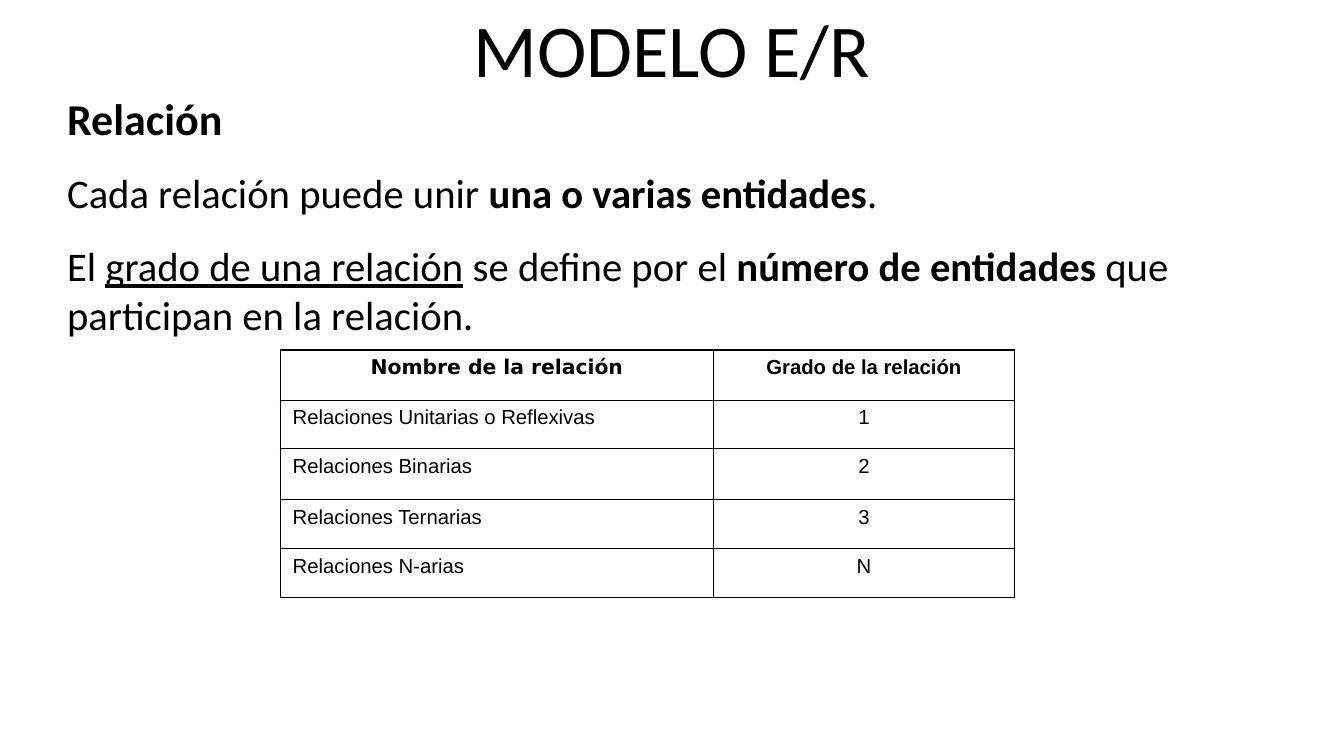
"""Build the slide on the degree of a relation in the E/R model."""
from dataclasses import dataclass

from lxml.etree import SubElement
from pptx import Presentation
from pptx.dml.color import RGBColor
from pptx.enum.text import MSO_ANCHOR as Anchor, MSO_AUTO_SIZE as AutoSize, PP_ALIGN as Align
from pptx.oxml import parse_xml
from pptx.oxml.ns import nsdecls, qn
from pptx.slide import Slide
from pptx.table import _Cell as Cell
from pptx.text.text import TextFrame, _Paragraph as Paragraph
from pptx.util import Pt


@dataclass(frozen=True)
class Theme:
    ink: str = "000000"
    text_font: str = "Calibri"
    table_font: str = "Arial"
    heading_font: str = "DejaVu Sans"
    title_size: float = 44
    lead_size: float = 26
    body_size: float = 24
    table_size: float = 12
    body_gap: float = 14.2
    cell_gap: float = 3
    outer_line: float = 1.08
    inner_line: float = 0.45


@dataclass(frozen=True)
class Span:
    text: str
    bold: bool = False
    underline: bool = False
    size: float = Theme.body_size


@dataclass(frozen=True)
class Row:
    height: float
    relation: str
    degree: str
    heading: bool = False


THEME = Theme()
TEXT_LEFT, TEXT_WIDTH = 39.6, 714.24
COLUMN_WIDTHS = (255.6, 177.84)

BODY = (
    (Span("Relación", bold=True, size=THEME.lead_size),),
    (Span("Cada relación puede unir "), Span("una o varias entidades", bold=True), Span(".")),
    (
        Span("El "),
        Span("grado de una relación", underline=True),
        Span(" se define por el "),
        Span("número de entidades", bold=True),
        Span(" que participan en la relación."),
    ),
)

ROWS = (
    Row(29.5, "Nombre de la relación", "Grado de la relación", heading=True),
    Row(28.8, "Relaciones Unitarias o Reflexivas", "1"),
    Row(30.2, "Relaciones Binarias", "2"),
    Row(28.8, "Relaciones Ternarias", "3"),
    Row(28.8, "Relaciones N-arias", "N"),
)


def add_text(para: Paragraph, text: str, *, size: float, font: str = THEME.text_font,
             bold: bool = False, underline: bool = False) -> None:
    """Append one formatted run to a paragraph."""
    run = para.add_run()
    run.text = text
    run.font.name = font
    run.font.size = Pt(size)
    run.font.bold = bold
    run.font.underline = underline
    run.font.color.rgb = RGBColor.from_string(THEME.ink)


def prepare_frame(frame: TextFrame, anchor: Anchor) -> None:
    """Make a text frame wrap without margins."""
    frame.word_wrap = True
    frame.auto_size = AutoSize.NONE
    frame.vertical_anchor = anchor
    frame.margin_left = frame.margin_right = frame.margin_top = frame.margin_bottom = 0


def set_borders(cell: Cell, widths: dict[str, float]) -> None:
    """Draw the four borders of a cell, ahead of its fill."""
    properties = cell._tc.get_or_add_tcPr()
    for position, side in enumerate("LRTB"):
        line = parse_xml(f'<a:ln{side} {nsdecls("a")} w="{Pt(widths[side])}"/>')
        fill = SubElement(line, qn("a:solidFill"))
        SubElement(fill, qn("a:srgbClr"), val=THEME.ink)
        properties.insert(position, line)


def add_title(slide: Slide, text: str) -> None:
    """Place and format the title."""
    title = slide.shapes.title
    title.left, title.top = Pt(TEXT_LEFT), Pt(-1.44)
    title.width, title.height = Pt(TEXT_WIDTH), Pt(59.76)
    prepare_frame(title.text_frame, Anchor.MIDDLE)
    para = title.text_frame.paragraphs[0]
    para.alignment = Align.CENTER
    add_text(para, text, size=THEME.title_size)


def add_body(slide: Slide) -> None:
    """Write the explanatory paragraphs."""
    box = slide.shapes.add_textbox(Pt(TEXT_LEFT), Pt(54), Pt(TEXT_WIDTH), Pt(377.28))
    frame = box.text_frame
    prepare_frame(frame, Anchor.TOP)
    for index, spans in enumerate(BODY):
        para = frame.add_paragraph() if index else frame.paragraphs[0]
        para.space_before = Pt(THEME.body_gap)
        for span in spans:
            add_text(para, span.text, size=span.size, bold=span.bold, underline=span.underline)


def add_degree_table(slide: Slide) -> None:
    """Draw the table of relations and their degrees."""
    frame = slide.shapes.add_table(len(ROWS), len(COLUMN_WIDTHS), Pt(165.6), Pt(206.64),
                                   Pt(sum(COLUMN_WIDTHS)), Pt(sum(row.height for row in ROWS)))
    table = frame.table
    table.first_row = table.horz_banding = False
    for column, width in zip(table.columns, COLUMN_WIDTHS):
        column.width = Pt(width)
    last_row, last_column = len(ROWS) - 1, len(COLUMN_WIDTHS) - 1
    for row_index, row in enumerate(ROWS):
        table.rows[row_index].height = Pt(row.height)
        for column_index, text in enumerate((row.relation, row.degree)):
            cell = table.cell(row_index, column_index)
            cell.fill.background()
            para = cell.text_frame.paragraphs[0]
            para.space_before = Pt(THEME.cell_gap)
            para.alignment = Align.CENTER if row.heading or column_index else Align.LEFT
            font = THEME.heading_font if row.heading and not column_index else THEME.table_font
            add_text(para, text, size=THEME.table_size, font=font, bold=row.heading)
            on_edge = {"L": column_index == 0, "R": column_index == last_column,
                       "T": row_index == 0, "B": row_index == last_row}
            set_borders(cell, {side: THEME.outer_line if outer else THEME.inner_line
                               for side, outer in on_edge.items()})


def main() -> None:
    """Build and save the deck."""
    deck = Presentation()
    deck.slide_width, deck.slide_height = Pt(793.44), Pt(446.4)
    page = deck.slides.add_slide(deck.slide_layouts[5])
    add_title(page, "MODELO E/R")
    add_body(page)
    add_degree_table(page)
    deck.save("out.pptx")


if __name__ == "__main__":
    main()
